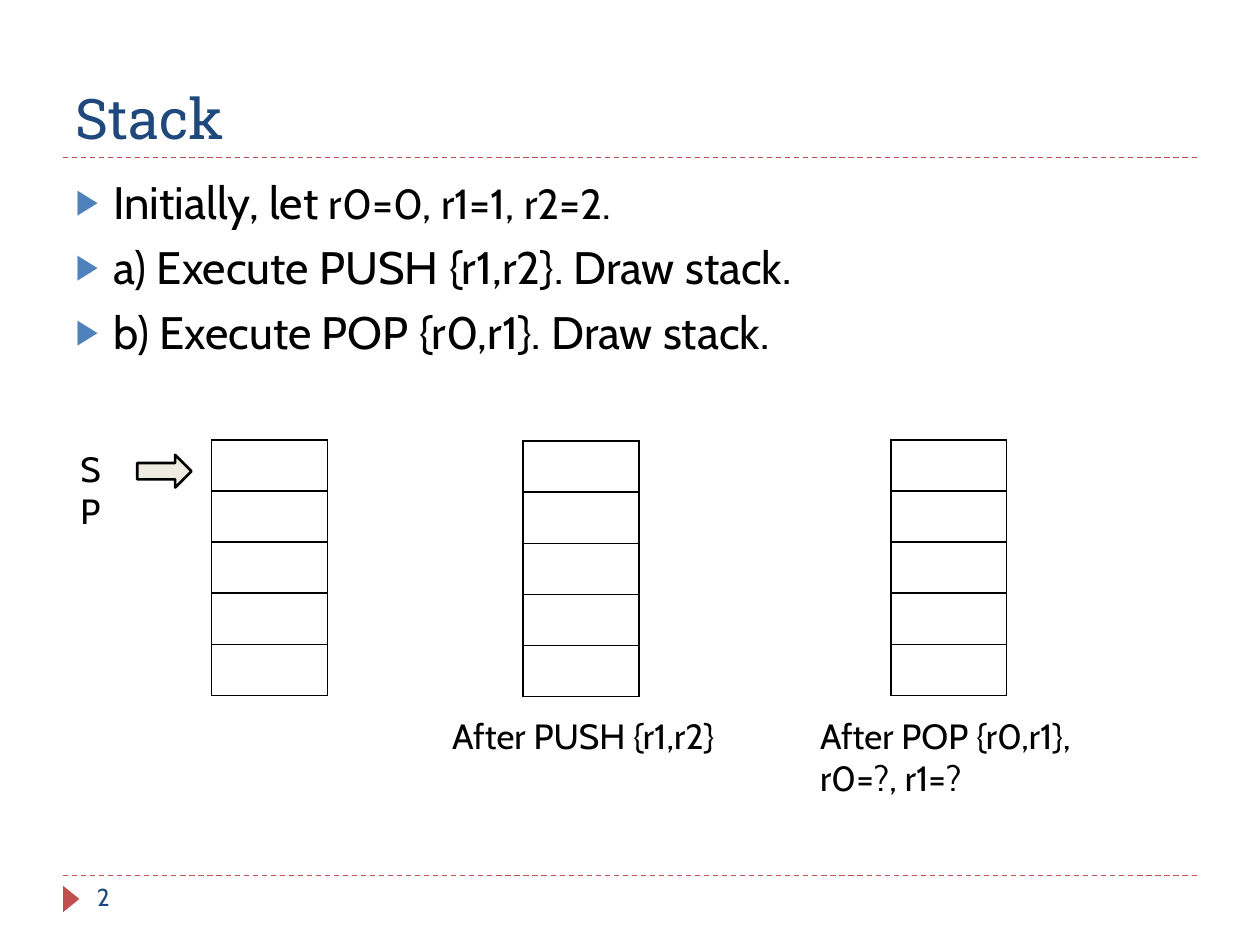
from lxml import etree
from pptx import Presentation
from pptx.dml.color import RGBColor
from pptx.enum.dml import MSO_LINE
from pptx.enum.shapes import MSO_CONNECTOR, MSO_SHAPE
from pptx.enum.text import MSO_ANCHOR, MSO_AUTO_SIZE, PP_ALIGN
from pptx.oxml import parse_xml
from pptx.oxml.ns import nsdecls, qn
from pptx.util import Inches, Pt

STRAIGHT = MSO_CONNECTOR.STRAIGHT
DASH = MSO_LINE.DASH
TRIANGLE = MSO_SHAPE.ISOSCELES_TRIANGLE
RIGHT_ARROW = MSO_SHAPE.RIGHT_ARROW
BOTTOM, TOP = MSO_ANCHOR.BOTTOM, MSO_ANCHOR.TOP
LEFT = PP_ALIGN.LEFT
NO_FIT = MSO_AUTO_SIZE.NONE
COLORS = {"red": "C0504D", "navy": "1F497D", "blue": "4F81BD",
          "cream": "EEECE1", "black": "000000"}
RGB = {name: RGBColor.from_string(value) for name, value in COLORS.items()}


def add_text(p, text, size=20, font="Cabin", color="black"):
    r = p.add_run()
    r.text = text
    r.font.size = Pt(size)
    r.font.name = font
    r.font.color.rgb = RGB[color]


prs = Presentation()
prs.slide_width, prs.slide_height = Inches(10), Inches(7.5)
s = prs.slides.add_slide(prs.slide_layouts[1])

for y in (6.95, 1.25):
    line = s.shapes.add_connector(STRAIGHT, Inches(0.5), Inches(y), Inches(9.5), Inches(y))
    line.line.color.rgb = RGB["red"]
    line.line.width = Pt(0.75)
    line.line.dash_style = DASH
    etree.SubElement(line._element.spPr, qn("a:effectLst"))

marker = s.shapes.add_shape(TRIANGLE, Inches(0.46), Inches(7.07), Inches(0.21), Inches(0.13))
marker.rotation = 90
marker.shadow.inherit = False
marker.fill.solid()
marker.fill.fore_color.rgb = RGB["red"]
marker.line.fill.background()

title, body = s.placeholders
title.left, title.top, title.width, title.height = map(Inches, (0.5, 0.17, 9, 1.08))
title.text_frame.auto_size = NO_FIT
title.text_frame.vertical_anchor = BOTTOM
p = title.text_frame.paragraphs[0]
p.alignment = LEFT
add_text(p, "Stack", size=32, font="Roboto Slab", color="navy")

body.left, body.top, body.width, body.height = map(Inches, (0.5, 1.33, 9, 1.65))
tf = body.text_frame
tf.auto_size = NO_FIT
tf.vertical_anchor = TOP
bullets = [
    [("Initially, let ", 26), ("r0=0, r1=1, r2=2.", 24)],
    [("a) Execute PUSH {r1,r2}. Draw stack.", 26)],
    [("b) Execute POP {r0,r1}. Draw stack.", 26)],
]
for i, runs in enumerate(bullets):
    p = tf.paragraphs[0] if i == 0 else tf.add_paragraph()
    pPr = p._p.get_or_add_pPr()
    pPr.set("marL", str(Inches(0.3)))
    pPr.set("indent", str(-Inches(0.3)))
    for xml in (f'<a:buClr {nsdecls("a")}><a:srgbClr val="{COLORS["blue"]}"/></a:buClr>',
                f'<a:buSzPct {nsdecls("a")} val="76000"/>',
                f'<a:buChar {nsdecls("a")} char="▶"/>'):
        pPr.append(parse_xml(xml))
    p.space_before = Pt(6 if i else 0)
    for text, size in runs:
        add_text(p, text, size=size)

for x, y in ((1.68, 3.49), (4.15, 3.5), (7.07, 3.49)):
    stack = s.shapes.add_table(5, 1, Inches(x), Inches(y), Inches(0.92), Inches(2.03)).table
    stack.first_row = stack.horz_banding = False
    for cell in stack.iter_cells():
        cell.fill.background()
        tcPr = cell._tc.get_or_add_tcPr()
        for i, side in enumerate(("lnL", "lnR", "lnT", "lnB")):
            tcPr.insert(i, parse_xml(
                f'<a:{side} {nsdecls("a")} w="{Pt(1)}"><a:solidFill>'
                f'<a:srgbClr val="{COLORS["black"]}"/></a:solidFill></a:{side}>'))

arrow = s.shapes.add_shape(RIGHT_ARROW, Inches(1.09), Inches(3.61), Inches(0.43), Inches(0.26))
arrow.shadow.inherit = False
arrow.fill.solid()
arrow.fill.fore_color.rgb = RGB["cream"]
arrow.line.color.rgb = RGB["black"]
arrow.line.width = Pt(1.5)

labels = [
    ((0.67, 6.95, 2.17, 0.4), ["2"], {"size": 14, "color": "navy"}),
    ((0.54, 3.5, 0.47, 0.44), ["SP"], {}),
    ((3.49, 5.62, 2.38, 0.44), ["After PUSH {r1,r2}"], {}),
    ((6.41, 5.62, 2.28, 0.77), ["After POP {r0,r1},", "r0=?, r1=?"], {}),
]
for box, lines, style in labels:
    tf = s.shapes.add_textbox(*map(Inches, box)).text_frame
    tf.word_wrap = True
    for i, text in enumerate(lines):
        p = tf.paragraphs[0] if i == 0 else tf.add_paragraph()
        add_text(p, text, **style)

prs.save("out.pptx")
